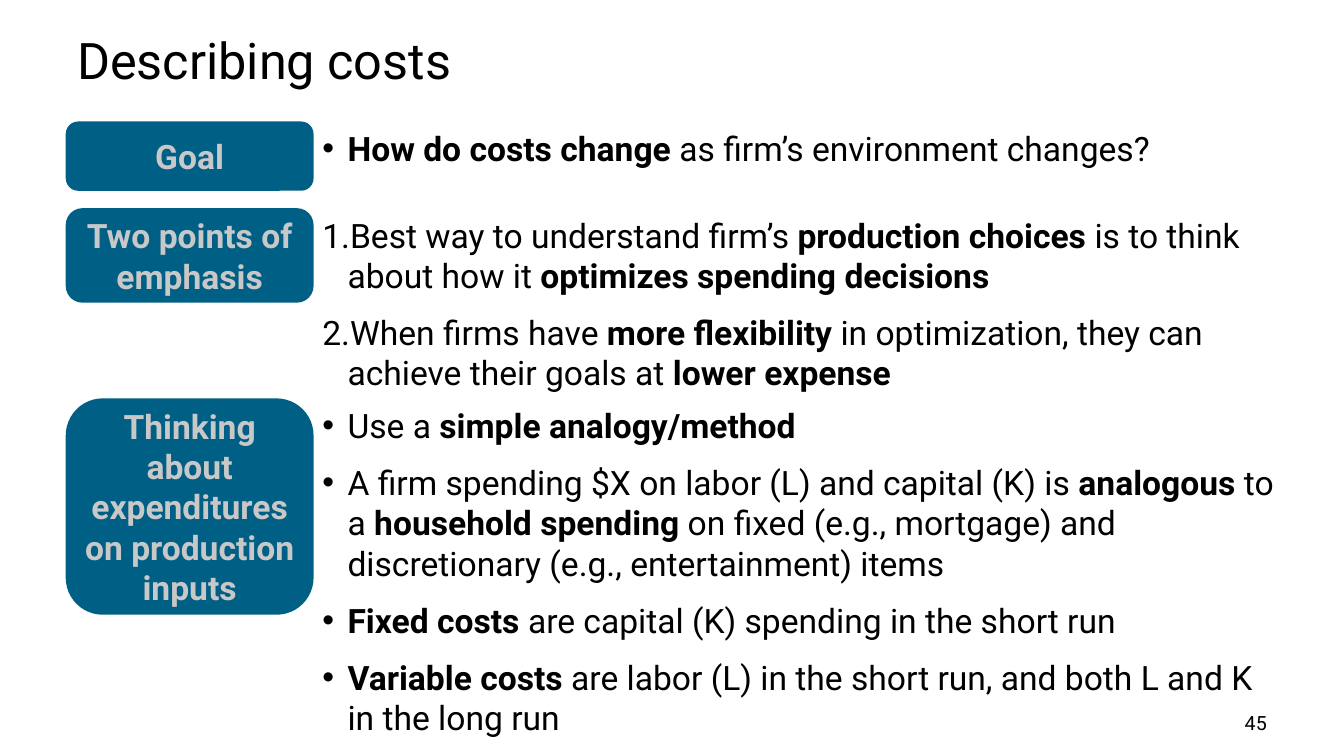
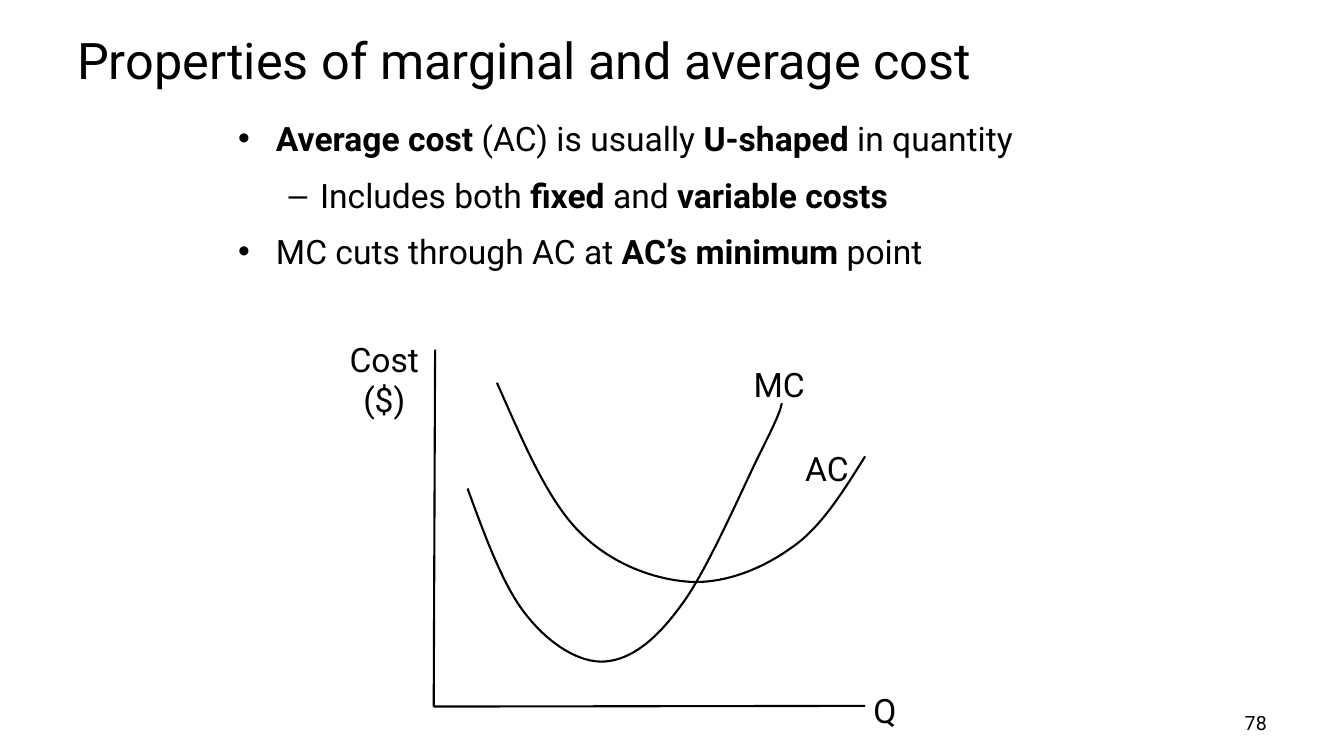
from lxml.etree import SubElement
from pptx import Presentation
from pptx.dml.color import RGBColor
from pptx.enum.shapes import MSO_CONNECTOR, MSO_SHAPE
from pptx.enum.text import MSO_ANCHOR, MSO_AUTO_SIZE, PP_ALIGN
from pptx.oxml.ns import qn
from pptx.util import Pt

FONT = "Roboto"
BLACK = "000000"
TEAL = "005F85"
GRAY = "C8C8C8"
BODY_SIZE = 24
LABEL_LEFT, LABEL_WIDTH = 48, 175
DETAIL_LEFT, DETAIL_WIDTH = 223.2, 695.5


def color(code):
    return RGBColor.from_string(code)


def add_bullet(para, mark, margin, indent):
    properties = para._p.get_or_add_pPr()
    properties.set("marL", str(Pt(margin)))
    properties.set("indent", str(Pt(-indent)))
    if mark == "1.":
        SubElement(properties, qn("a:buFont"), typeface="+mj-lt")
        SubElement(properties, qn("a:buAutoNum"), type="arabicPeriod")
    else:
        SubElement(properties, qn("a:buFont"), typeface="Arial")
        SubElement(properties, qn("a:buChar"), char=mark)


def write(para, text, size=BODY_SIZE, ink=BLACK, align=PP_ALIGN.LEFT, bold=False):
    para.alignment = align
    para.font.name = FONT
    para.font.size = Pt(size)
    para.font.color.rgb = color(ink)
    para.font.bold = bold
    for index, part in enumerate(text.split("**")):
        if part:
            span = para.add_run()
            span.text = part
            if index % 2:
                span.font.bold = True


def add_box(page, left, top, width, height):
    box = page.shapes.add_textbox(Pt(left), Pt(top), Pt(width), Pt(height))
    frame = box.text_frame
    frame.word_wrap = True
    frame.auto_size = MSO_AUTO_SIZE.SHAPE_TO_FIT_TEXT
    return frame


def add_text(page, text, left, top, width, height, anchor=MSO_ANCHOR.TOP, **style):
    frame = add_box(page, left, top, width, height)
    frame.vertical_anchor = anchor
    write(frame.paragraphs[0], text, **style)


def add_list(page, items, left, top, width, height):
    frame = add_box(page, left, top, width, height)
    for index, (mark, level, margin, indent, text) in enumerate(items):
        para = frame.add_paragraph() if index else frame.paragraphs[0]
        para.level = level
        add_bullet(para, mark, margin, indent)
        para.space_after = Pt(12)
        write(para, text)


def add_label(page, text, top, height):
    label = page.shapes.add_shape(
        MSO_SHAPE.ROUNDED_RECTANGLE,
        Pt(LABEL_LEFT), Pt(top), Pt(LABEL_WIDTH), Pt(height))
    label.shadow.inherit = False
    label.fill.solid()
    label.fill.fore_color.rgb = color(TEAL)
    label.line.color.rgb = color(TEAL)
    label.line.width = Pt(2)
    frame = label.text_frame
    frame.word_wrap = True
    frame.margin_left = frame.margin_right = 0
    frame.vertical_anchor = MSO_ANCHOR.MIDDLE
    write(frame.paragraphs[0], text, ink=GRAY, align=PP_ALIGN.CENTER, bold=True)


def add_section(page, label, items, top, label_height, detail_height):
    add_label(page, label, top, label_height)
    add_list(page, items, DETAIL_LEFT, top, DETAIL_WIDTH, detail_height)


def style_line(line):
    line.color.rgb = color(BLACK)
    line.width = Pt(1.5)


def add_axis(page, start, end):
    axis = page.shapes.add_connector(
        MSO_CONNECTOR.STRAIGHT, *(Pt(value) for value in start + end))
    style_line(axis.line)
    SubElement(axis._element.spPr, qn("a:effectLst"))


def bend_segments(curve):
    segments = list(curve._element.iter(qn("a:lnTo")))
    for first, second, third in zip(segments[::3], segments[1::3], segments[2::3]):
        first.tag = qn("a:cubicBezTo")
        for segment in (second, third):
            first.append(segment[0])
            segment.getparent().remove(segment)


def add_curve(page, points):
    start, *controls = [(Pt(x), Pt(y)) for x, y in points]
    builder = page.shapes.build_freeform(*start)
    builder.add_line_segments(controls, close=False)
    curve = builder.convert_to_shape()
    bend_segments(curve)
    curve.shadow.inherit = False
    curve.fill.background()
    style_line(curve.line)


def add_page(deck, title, number):
    page = deck.slides.add_slide(deck.slide_layouts[6])
    add_text(page, title, 48, 16.8, 864, 51, anchor=MSO_ANCHOR.MIDDLE, size=36)
    add_text(page, number, 688, 504.5, 224, 24.5, size=14, align=PP_ALIGN.RIGHT)
    return page


def build_costs(deck):
    page = add_page(deck, "Describing costs", "45")
    goal = ["**How do costs change **as firm’s environment changes?"]
    emphasis = [
        "Best way to understand firm’s **production choices **is to think about "
        "how it **optimizes spending decisions**",
        "When firms have **more flexibility **in optimization, they can achieve "
        "their goals at **lower expense**",
    ]
    spending = [
        "Use a **simple analogy/method**",
        "A firm spending $X on labor (L) and capital (K) is **analogous** to a "
        "**household spending **on fixed (e.g., mortgage) and discretionary "
        "(e.g., entertainment) items",
        "**Fixed costs **are capital (K) spending in the short run",
        "**Variable costs **are labor (L) in the short run, and both L and K in the long run",
    ]
    sections = [
        ("Goal", "•", 0, goal, 87.8, 47.5, 36),
        ("Two points of emphasis", "1.", 1, emphasis, 149.7, 65.5, 135.5),
        ("Thinking about expenditures on production inputs", "•", 0, spending,
         285.6, 152.5, 247),
    ]
    for label, mark, level, texts, top, label_height, detail_height in sections:
        items = [(mark, level, 18, 18, text) for text in texts]
        add_section(page, label, items, top, label_height, detail_height)


def build_properties(deck):
    page = add_page(deck, "Properties of marginal and average cost", "78")
    add_list(page, [
        ("•", 0, 27, 27, "**Average cost **(AC) is usually **U-shaped **in quantity"),
        ("–", 1, 58.5, 22.5, "Includes both **fixed **and **variable costs**"),
    ], 163, 80.5, 660, 78)
    add_list(page, [
        ("•", 0, 27, 27, "MC cuts through AC at **AC’s minimum **point"),
    ], 163, 161.5, 660, 36)

    origin = (309.8, 504.7)
    add_axis(page, (310.8, 249.8), origin)
    add_axis(page, origin, (618, 504.2))
    average_cost = [
        (355, 273.5), (373, 314), (390, 355), (412.5, 378.5),
        (435.5, 402.5), (466, 413.5), (491, 415.5),
        (516, 417.5), (543.5, 407), (565, 391.5),
        (586, 377.5), (602, 351.5), (618, 326),
    ]
    marginal_cost = [
        (334, 349), (347, 384.5), (360, 420), (376.5, 440),
        (392.5, 460), (414, 474), (432.5, 472.5),
        (450.5, 471), (468, 458), (486.5, 432.5),
        (505.5, 407.5), (532, 345), (544.5, 320.5),
        (556.5, 296.5), (557.5, 292.5), (558.5, 288),
    ]
    for points in (average_cost, marginal_cost):
        add_curve(page, points)
    for text, left, top, width, height, align in (
        ("Cost ($)", 232.5, 238.5, 84, 65.5, PP_ALIGN.CENTER),
        ("Q", 603.5, 489.5, 57, 36, PP_ALIGN.CENTER),
        ("AC", 568, 316.4, 57, 36, PP_ALIGN.LEFT),
        ("MC", 531.2, 256.5, 57, 36, PP_ALIGN.LEFT),
    ):
        add_text(page, text, left, top, width, height, align=align)


def main():
    deck = Presentation()
    deck.slide_width = Pt(960)
    deck.slide_height = Pt(540)
    build_costs(deck)
    build_properties(deck)
    deck.save("out.pptx")


if __name__ == "__main__":
    main()
